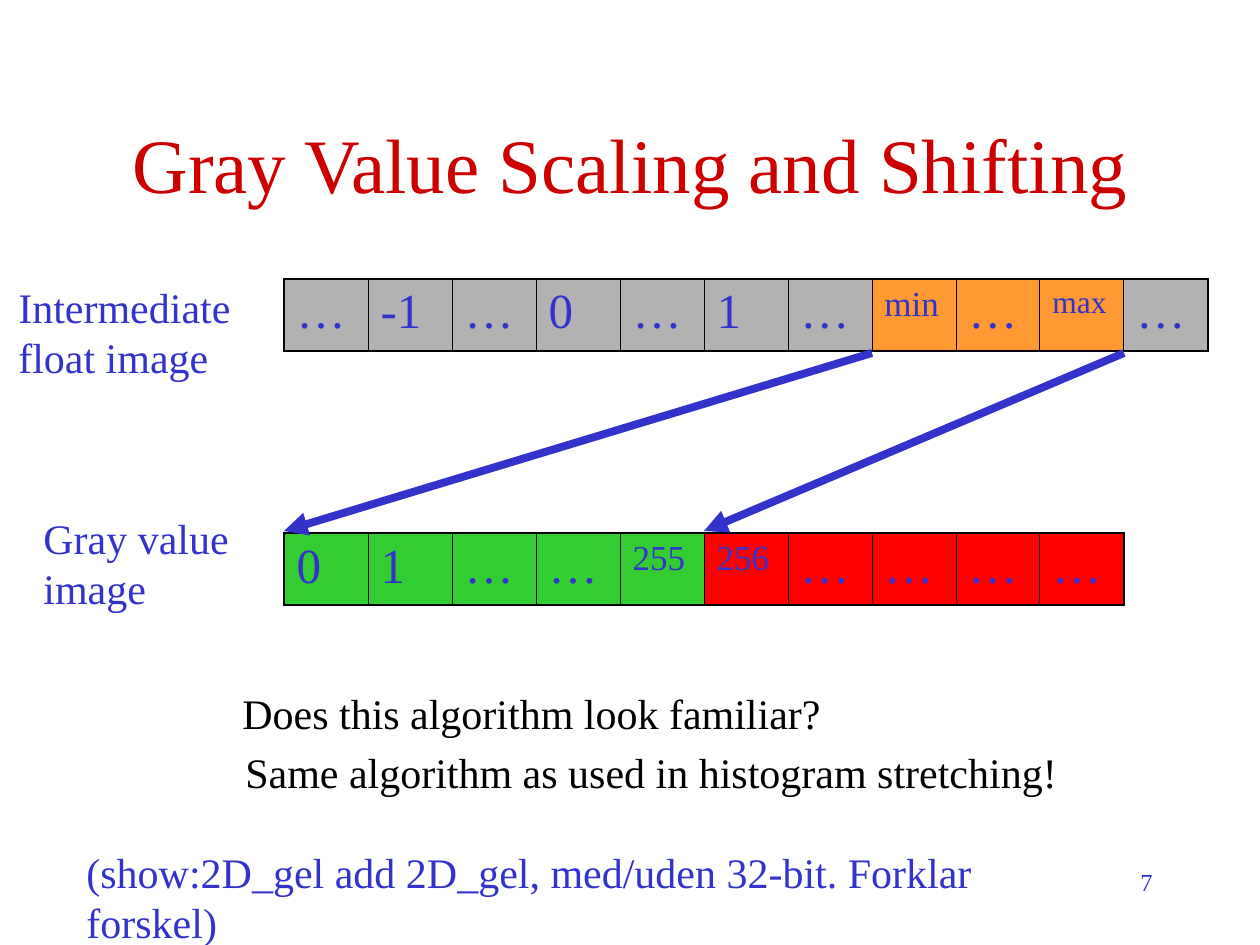
import dataclasses

import lxml.etree
import pptx
import pptx.dml.color
import pptx.enum.shapes
import pptx.enum.text
import pptx.oxml.ns
import pptx.util

RGBColor = pptx.dml.color.RGBColor
CRIMSON = RGBColor(0xCC, 0x00, 0x00)
BLUE = RGBColor(0x33, 0x33, 0xCC)
BLACK = RGBColor(0x00, 0x00, 0x00)
GRAY = RGBColor(0xB2, 0xB2, 0xB2)
ORANGE = RGBColor(0xFF, 0x99, 0x33)
GREEN = RGBColor(0x33, 0xCC, 0x33)
RED = RGBColor(0xFF, 0x00, 0x00)

FONT = "Times New Roman"
EMU_PER_PX = 914400 / 126
CELL_WIDTH, CELL_HEIGHT = 84, 72
STRIP_LEFT = 284
FLOAT_TOP, GRAY_VALUE_TOP = 279, 533
ARROW_GAP = 2
OUTER_BORDER, INNER_BORDER = 1.08, 0.45

Align = pptx.enum.text.PP_ALIGN


@dataclasses.dataclass(frozen=True)
class Label:
    text: str
    left: int
    top: int
    width: int
    height: int
    color: RGBColor = BLUE
    size: int = 24
    wrap: bool = True
    align: Align = Align.LEFT


@dataclasses.dataclass(frozen=True)
class Cell:
    text: str
    fill: RGBColor
    size: int = 28


@dataclasses.dataclass(frozen=True)
class Strip:
    top: int
    cells: list[Cell]


@dataclasses.dataclass(frozen=True)
class Mapping:
    float_edge: int
    gray_value_edge: int


STRIPS = [
    Strip(
        FLOAT_TOP,
        [Cell(text, GRAY) for text in ("…", "-1", "…", "0", "…", "1", "…")]
        + [Cell("min", ORANGE, 20), Cell("…", ORANGE), Cell("max", ORANGE, 18)]
        + [Cell("…", GRAY)],
    ),
    Strip(
        GRAY_VALUE_TOP,
        [Cell(text, GREEN) for text in ("0", "1", "…", "…")]
        + [Cell("255", GREEN, 20), Cell("256", RED, 20)]
        + [Cell("…", RED)] * 4,
    ),
]

MAPPINGS = [Mapping(7, 0), Mapping(10, 5)]

LABELS = [
    Label("Intermediate float image", 6, 275, 267, 113),
    Label("Gray value image", 31, 506, 231, 113),
    Label("Does this algorithm look familiar?", 230, 681, 604, 63, BLACK, wrap=False),
    Label("Same algorithm as used in histogram stretching!", 233, 740, 837, 63, BLACK, wrap=False),
    Label("(show:2D_gel add 2D_gel, med/uden 32-bit. Forklar forskel)", 74, 840, 1051, 63, wrap=False),
    Label("7", 903, 861, 262, 63, size=14, align=Align.RIGHT),
]


def px(length: int) -> pptx.util.Emu:
    return pptx.util.Emu(round(length * EMU_PER_PX))


def write(frame, text: str, *, size: int, color: RGBColor,
          align: Align = Align.LEFT, space_before: float = 0) -> None:
    paragraph = frame.paragraphs[0]
    paragraph.alignment = align
    paragraph.space_before = pptx.util.Pt(space_before)
    run = paragraph.add_run()
    run.text = text
    run.font.name = FONT
    run.font.size = pptx.util.Pt(size)
    run.font.color.rgb = color


def add_title(slide, text: str) -> None:
    title = slide.shapes.title
    title.left, title.top, title.width, title.height = map(px, (95, 84, 1071, 158))
    title.text_frame.vertical_anchor = pptx.enum.text.MSO_ANCHOR.MIDDLE
    write(title.text_frame, text, size=44, color=CRIMSON, align=Align.CENTER)


def add_label(slide, label: Label) -> None:
    box = slide.shapes.add_textbox(
        px(label.left), px(label.top), px(label.width), px(label.height))
    box.text_frame.word_wrap = label.wrap
    write(box.text_frame, label.text, size=label.size, color=label.color, align=label.align)


def set_border(cell, side: str, points: float) -> None:
    qn = pptx.oxml.ns.qn
    properties = cell._tc.get_or_add_tcPr()
    line = lxml.etree.SubElement(properties, qn(f"a:ln{side}"), w=str(pptx.util.Pt(points)))
    fill = lxml.etree.SubElement(line, qn("a:solidFill"))
    lxml.etree.SubElement(fill, qn("a:srgbClr"), val=str(BLACK))


def add_strip(slide, strip: Strip) -> None:
    count = len(strip.cells)
    table = slide.shapes.add_table(
        1, count, px(STRIP_LEFT), px(strip.top),
        px(count * CELL_WIDTH), px(CELL_HEIGHT)).table
    table.first_row = False
    table.horz_banding = False
    for index, content in enumerate(strip.cells):
        table.columns[index].width = px(CELL_WIDTH)
        cell = table.cell(0, index)
        set_border(cell, "L", OUTER_BORDER if index == 0 else INNER_BORDER)
        set_border(cell, "R", OUTER_BORDER if index == count - 1 else INNER_BORDER)
        set_border(cell, "T", OUTER_BORDER)
        set_border(cell, "B", OUTER_BORDER)
        cell.fill.solid()
        cell.fill.fore_color.rgb = content.fill
        write(cell.text_frame, content.text, size=content.size, color=BLUE,
              space_before=content.size / 4)


def add_mapping(slide, mapping: Mapping) -> None:
    qn = pptx.oxml.ns.qn
    arrow = slide.shapes.add_connector(
        pptx.enum.shapes.MSO_CONNECTOR.STRAIGHT,
        px(STRIP_LEFT + mapping.float_edge * CELL_WIDTH),
        px(FLOAT_TOP + CELL_HEIGHT + ARROW_GAP),
        px(STRIP_LEFT + mapping.gray_value_edge * CELL_WIDTH),
        px(GRAY_VALUE_TOP - ARROW_GAP))
    arrow.line.color.rgb = BLUE
    arrow.line.width = pptx.util.Pt(4.5)
    lxml.etree.SubElement(arrow.line._get_or_add_ln(), qn("a:tailEnd"), type="triangle")
    lxml.etree.SubElement(arrow._element.spPr, qn("a:effectLst"))


def main() -> None:
    presentation = pptx.Presentation()
    presentation.slide_width = px(1260)
    presentation.slide_height = px(945)
    slide = presentation.slides.add_slide(presentation.slide_layouts.get_by_name("Title Only"))
    add_title(slide, "Gray Value Scaling and Shifting")
    for strip in STRIPS:
        add_strip(slide, strip)
    for mapping in MAPPINGS:
        add_mapping(slide, mapping)
    for label in LABELS:
        add_label(slide, label)
    presentation.save("out.pptx")


if __name__ == "__main__":
    main()
